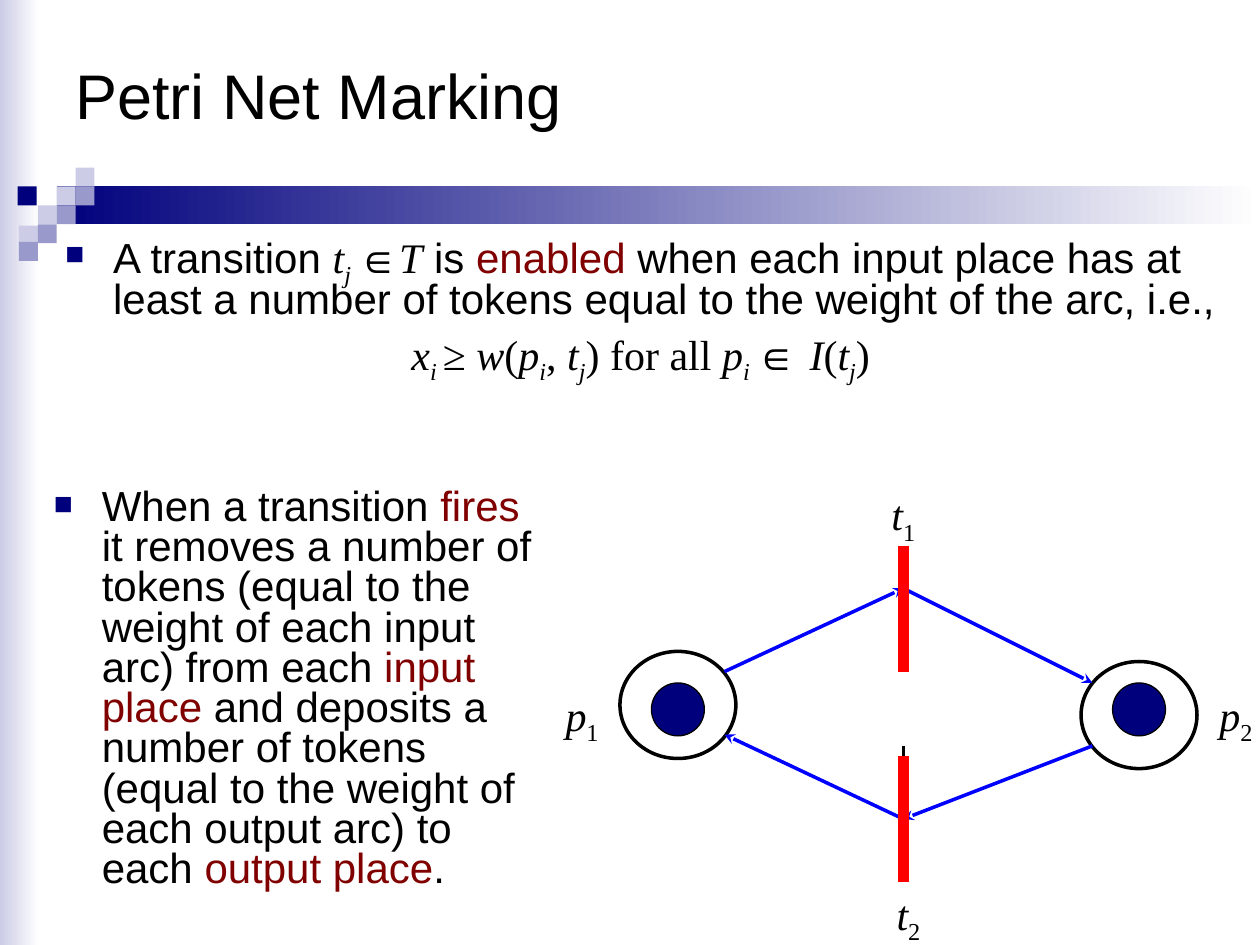
from lxml.etree import SubElement
from pptx import Presentation
from pptx.dml.color import RGBColor
from pptx.enum.shapes import MSO_CONNECTOR, MSO_SHAPE
from pptx.enum.text import MSO_ANCHOR, PP_ALIGN
from pptx.oxml.ns import qn
from pptx.util import Inches, Pt

COLORS = {"text": "000000", "accent": "800000", "navy": "00007D", "mid": "9999CC",
          "pale": "CCCCE6", "white": "FFFFFF", "arc": "0000FF", "bar": "FF0000"}

# Run styles: font, italic, subscript, colour
STYLES = {"plain": ("Arial", False, False, "text"),
          "accent": ("Arial", False, False, "accent"),
          "roman": ("Times New Roman", False, False, "text"),
          "var": ("Times New Roman", True, False, "text"),
          "sub": ("Times New Roman", True, True, "text"),
          "digit": ("Times New Roman", False, True, "text")}


def color(name):
    return RGBColor.from_string(COLORS[name])


def add_runs(paragraph, runs, size=24):
    for text, style in runs:
        font_name, italic, subscript, color_name = STYLES[style]
        run = paragraph.add_run()
        run.text = text
        run.font.name = font_name
        run.font.size = Pt(size)
        run.font.italic = italic
        run.font.color.rgb = color(color_name)
        if subscript:
            run.font._element.set("baseline", "-25000")


def add_text_frame(slide, left, top, width, height):
    box = slide.shapes.add_textbox(Inches(left), Inches(top), Inches(width), Inches(height))
    box.text_frame.word_wrap = True
    return box.text_frame


def add_shape(slide, kind, left, top, width, height, fill=None, line=None, weight=0):
    shape = slide.shapes.add_shape(kind, Inches(left), Inches(top), Inches(width), Inches(height))
    shape.shadow.inherit = False
    if fill:
        shape.fill.solid()
        shape.fill.fore_color.rgb = color(fill)
    else:
        shape.fill.background()
    if line:
        shape.line.color.rgb = color(line)
        shape.line.width = Pt(weight)
    else:
        shape.line.fill.background()
    return shape


def add_line(slide, start, end, color_name, weight=2, arrow=False):
    line = slide.shapes.add_connector(MSO_CONNECTOR.STRAIGHT, *map(Inches, start + end))
    line.line.color.rgb = color(color_name)
    line.line.width = Pt(weight)
    properties = line._element.spPr
    if arrow:
        SubElement(properties.find(qn("a:ln")), qn("a:tailEnd"), type="stealth")
    SubElement(properties, qn("a:effectLst"))


def add_gradient(slide, left, top, width, height, start):
    shape = add_shape(slide, MSO_SHAPE.RECTANGLE, left, top, width, height)
    shape.fill.gradient()
    shape.fill.gradient_angle = 0
    for stop, name in zip(shape.fill.gradient_stops, (start, "white")):
        stop.color.rgb = color(name)


def add_decoration(slide, left, top):
    """Side band, title bar and the stair of small squares."""
    add_gradient(slide, 0, 0, 0.31, 7.5, "pale")
    add_gradient(slide, left + 0.31, top + 0.15, 9.55, 0.3, "navy")
    squares = [(0.31, 0.15, "pale"), (0.46, 0, "pale"), (0.46, 0.15, "mid"),
               (0.16, 0.3, "pale"), (0, 0.15, "navy"), (0.31, 0.3, "mid"),
               (0.01, 0.46, "pale"), (0.16, 0.45, "mid"), (0.01, 0.59, "mid")]
    for x, y, fill in squares:
        add_shape(slide, MSO_SHAPE.RECTANGLE, left + x, top + y, 0.15, 0.15, fill)


def add_title(slide, left, top, width, height, text):
    frame = add_text_frame(slide, left, top, width, height)
    frame.vertical_anchor = MSO_ANCHOR.MIDDLE
    add_runs(frame.paragraphs[0], [(text, "plain")], 36)


def add_body(slide, left, top, width, height, bullet_runs, formula_runs=None):
    """One square-bulleted paragraph, with an optional centred formula below."""
    frame = add_text_frame(slide, left, top, width, height)
    bullet = frame.paragraphs[0]
    add_runs(bullet, bullet_runs)
    if formula_runs:
        formula = frame.add_paragraph()
        formula.alignment = PP_ALIGN.CENTER
        add_runs(formula, formula_runs)
    for paragraph in frame.paragraphs:
        paragraph.line_spacing = 0.8
        paragraph.space_before = Pt(6)
        properties = paragraph._p.get_or_add_pPr()
        properties.set("marL", str(Inches(0.38)))
        properties.set("indent", str(-Inches(0.38)))
    properties = bullet._p.get_or_add_pPr()
    bullet_color = SubElement(properties, qn("a:buClr"))
    SubElement(bullet_color, qn("a:srgbClr"), val=COLORS["navy"])
    SubElement(properties, qn("a:buSzPct"), val="75000")
    SubElement(properties, qn("a:buFont"), typeface="Arial")
    SubElement(properties, qn("a:buChar"), char="■")


def add_label(slide, center, top, width, letter, digit):
    frame = add_text_frame(slide, center - width / 2, top, width, 0.56)
    frame.margin_left = frame.margin_right = 0
    paragraph = frame.paragraphs[0]
    paragraph.alignment = PP_ALIGN.CENTER
    paragraph.space_before = Pt(15)
    add_runs(paragraph, [(letter, "var"), (digit, "digit")])


def add_petri_net(slide, left, top):
    """Two places with a token each, joined through two transitions."""
    middle = left + 2.25
    upper, lower = (middle, top + 0.84), (middle, top + 2.67)

    # Places
    for x, y in ((0, 1.34), (3.66, 1.42)):
        add_shape(slide, MSO_SHAPE.OVAL, left + x, top + y, 0.92, 0.85, line="text", weight=2)

    # Transition stems and arcs
    for y in (0.5, 2.09):
        add_line(slide, (middle, top + y), (middle, top + y + 1), "text")
    arcs = [((left + 0.83, top + 1.5), upper), ((left + 3.75, top + 2.09), lower),
            (lower, (left + 0.83, top + 2)), (upper, (left + 3.75, top + 1.59))]
    for start, end in arcs:
        add_line(slide, start, end, "arc", arrow=True)

    # Tokens and transition bars
    for x in (0.25, 3.91):
        add_shape(slide, MSO_SHAPE.OVAL, left + x, top + 1.59, 0.42, 0.42, "navy", "text", 0.75)
    for y in (0.5, 2.17):
        add_line(slide, (middle, top + y), (middle, top + y + 1), "bar", 6)

    # Labels
    add_label(slide, left - 0.3, top + 1.59, 0.36, "p", "1")
    add_label(slide, left + 4.89, top + 1.59, 0.36, "p", "2")
    add_label(slide, middle, top, 1.67, "t", "1")
    add_label(slide, middle + 0.04, top + 3.17, 1.75, "t", "2")


presentation = Presentation()
presentation.slide_width = Inches(10)
presentation.slide_height = Inches(7.5)
slide = presentation.slides.add_slide(presentation.slide_layouts[6])

add_decoration(slide, 0.14, 1.33)
add_title(slide, 0.5, 0, 9, 1.5, "Petri Net Marking")
add_body(
    slide, 0.42, 1.83, 9.33, 1.33,
    [("A transition ", "plain"), ("t", "var"), ("j ", "sub"), ("∈", "plain"), ("T", "var"),
     (" is ", "plain"), ("enabled", "accent"),
     (" when each input place has at least a number of tokens equal to "
      "the weight of the arc, i.e., ", "plain")],
    [("x", "var"), ("i ", "sub"), ("≥ ", "roman"), ("w", "var"), ("(", "roman"),
     ("p", "var"), ("i", "sub"), (", ", "roman"), ("t", "var"), ("j", "sub"),
     (") for all ", "roman"), ("p", "var"), ("i ", "sub"), ("∈ ", "plain"), ("I", "var"),
     ("(", "roman"), ("t", "var"), ("j", "sub"), (")", "roman")])
add_petri_net(slide, 4.92, 3.83)
add_body(
    slide, 0.33, 3.83, 4, 3.42,
    [("When a transition ", "plain"), ("fires ", "accent"),
     ("it removes a number of tokens (equal to the weight of each input arc) from each ", "plain"),
     ("input place", "accent"),
     (" and deposits a number of tokens (equal to the weight of each output arc) to each ", "plain"),
     ("output place", "accent"), (".", "plain")])

presentation.save("out.pptx")
